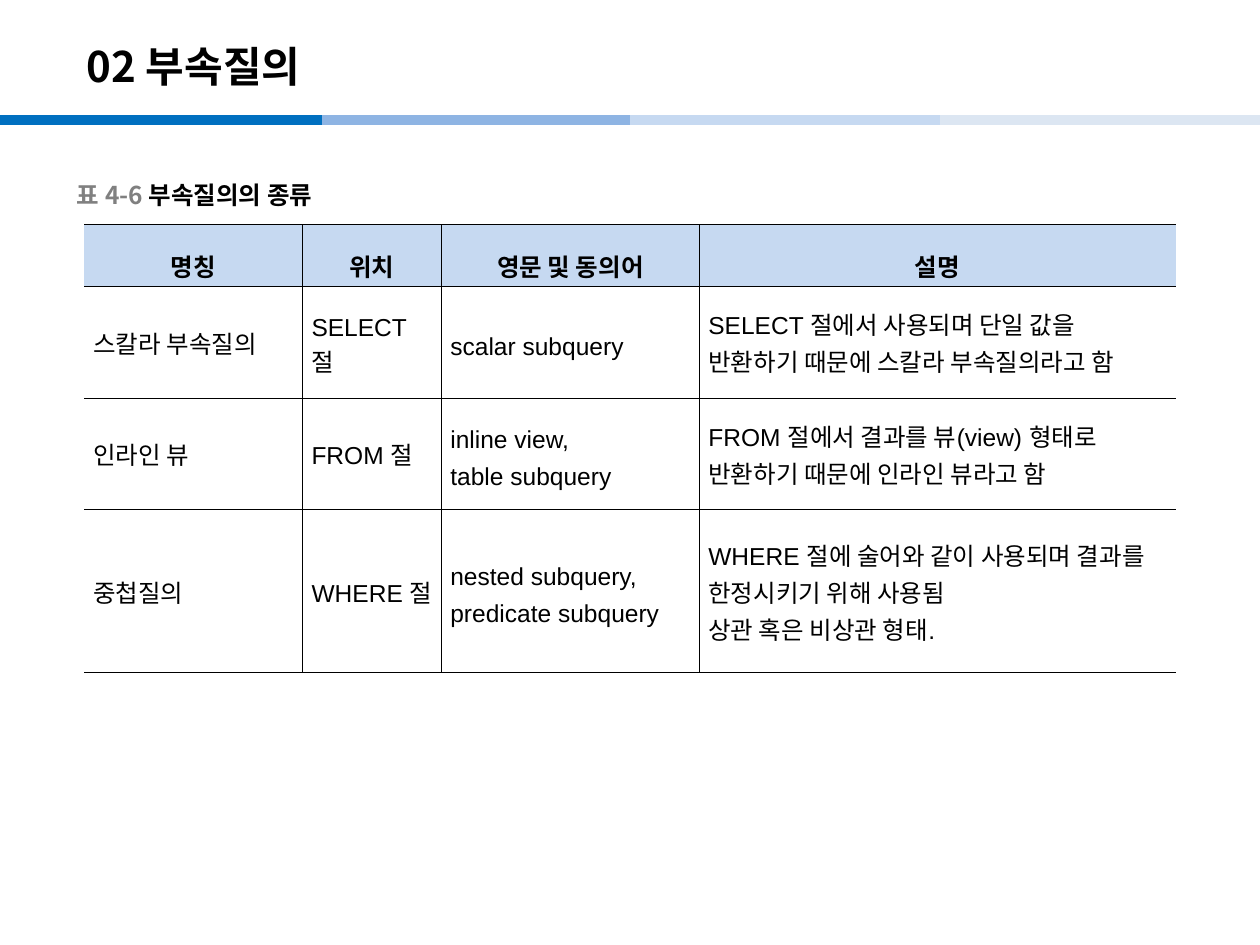
import pptx
import pptx.util
import pptx.dml.color
import pptx.enum.shapes
import pptx.enum.text
import pptx.oxml
import pptx.oxml.ns
from pptx.util import Cm

# Content
TITLE = "02 부속질의"
LABEL, NAME = "표 4-6 ", "부속질의의 종류"
HEAD = ["명칭", "위치", "영문 및 동의어", "설명"]
BODY = [
    ["스칼라 부속질의", "SELECT 절", "scalar subquery",
     "SELECT 절에서 사용되며 단일 값을 반환하기 때문에 스칼라 부속질의라고 함"],
    ["인라인 뷰", "FROM 절", "inline view,\ntable subquery",
     "FROM 절에서 결과를 뷰(view) 형태로 반환하기 때문에 인라인 뷰라고 함"],
    ["중첩질의", "WHERE 절", "nested subquery,\npredicate subquery",
     "WHERE 절에 술어와 같이 사용되며 결과를 한정시키기 위해 사용됨\n상관 혹은 비상관 형태."],
]
COLORS = {"black": "000000", "gray": "808080", "head": "C6D9F1"}
BARS = [(0, "0070C0"), (6.5, "8EB4E3"), (12.7, "C6D9F1"), (18.95, "DCE6F2")]
WIDTHS = [4.4, 2.8, 5.2, 9.6]
HEIGHTS = [1.25, 2.25, 2.25, 3.29]
KOREAN = "Noto Sans CJK KR"
MIDDLE = pptx.enum.text.MSO_ANCHOR.MIDDLE
ALIGN = pptx.enum.text.PP_ALIGN


def rgb(hue):
    return pptx.dml.color.RGBColor.from_string(hue)


def write(para, text, size=14, font="Arial", color="black", bold=False,
          align=ALIGN.LEFT, space=None):
    para.alignment = align
    if space:
        para.line_spacing = space
    run = para.add_run()
    run.text = text
    run.font.size = pptx.util.Pt(size)
    run.font.name = font
    run.font.bold = bold
    run.font.color.rgb = rgb(COLORS[color])
    east = pptx.oxml.parse_xml(
        f'<a:ea {pptx.oxml.ns.nsdecls("a")} typeface="{KOREAN}"/>')
    run.font._element.find(pptx.oxml.ns.qn("a:latin")).addnext(east)


def box(left, top, width, height):
    frame = slide.shapes.add_textbox(
        Cm(left), Cm(top), Cm(width), Cm(height)).text_frame
    frame.word_wrap = True
    frame.vertical_anchor = MIDDLE
    return frame.paragraphs[0]


def border(cell, sides):
    props = cell._tc.get_or_add_tcPr()
    for spot, side in enumerate("LRTB"):
        paint = (f'<a:solidFill><a:srgbClr val="{COLORS["black"]}"/></a:solidFill>'
                 if side in sides else "<a:noFill/>")
        props.insert(spot, pptx.oxml.parse_xml(
            f'<a:ln{side} {pptx.oxml.ns.nsdecls("a")} w="3600">{paint}</a:ln{side}>'))


deck = pptx.Presentation()
deck.slide_width, deck.slide_height = Cm(25.4), Cm(19.05)
slide = deck.slides.add_slide(deck.slide_layouts[6])

# Colour band under the title
for left, hue in BARS:
    bar = slide.shapes.add_connector(
        pptx.enum.shapes.MSO_CONNECTOR.STRAIGHT,
        Cm(left), Cm(2.42), Cm(left + 6.5), Cm(2.42))
    bar.line.color.rgb = rgb(hue)
    bar.line.width = pptx.util.Pt(6)
    bar._element.spPr.append(pptx.oxml.parse_xml(
        f'<a:effectLst {pptx.oxml.ns.nsdecls("a")}/>'))

# Title and table caption
write(box(1.5, 0.56, 21, 1.52), TITLE, size=24, font=KOREAN, bold=True)
label = box(1.3, 3.53, 6.5, 0.8)
write(label, LABEL, font=KOREAN, color="gray", bold=True)
write(label, NAME, font=KOREAN, bold=True)

# Table
rows = [HEAD] + BODY
grid = slide.shapes.add_table(
    len(rows), len(HEAD), Cm(1.7), Cm(4.52),
    Cm(sum(WIDTHS)), Cm(sum(HEIGHTS))).table
grid.first_row = grid.horz_banding = False
for col, width in zip(grid.columns, WIDTHS):
    col.width = Cm(width)
for row, height in zip(grid.rows, HEIGHTS):
    row.height = Cm(height)

for r, row in enumerate(rows):
    for c, text in enumerate(row):
        cell = grid.cell(r, c)
        cell.vertical_anchor = MIDDLE
        cell.margin_left = cell.margin_right = Cm(0.18)
        cell.margin_top = cell.margin_bottom = Cm(0.05)
        if r == 0:
            cell.fill.solid()
            cell.fill.fore_color.rgb = rgb(COLORS["head"])
            style = dict(bold=True, align=ALIGN.CENTER, space=1.6)
        else:
            cell.fill.background()
            style = dict(space=pptx.util.Pt(21))
        for n, line in enumerate(text.split("\n")):
            frame = cell.text_frame
            write(frame.add_paragraph() if n else frame.paragraphs[0], line, **style)
        # Open outer sides
        border(cell, "TB" + "L" * (c > 0) + "R" * (c < len(row) - 1))

deck.save("out.pptx")
